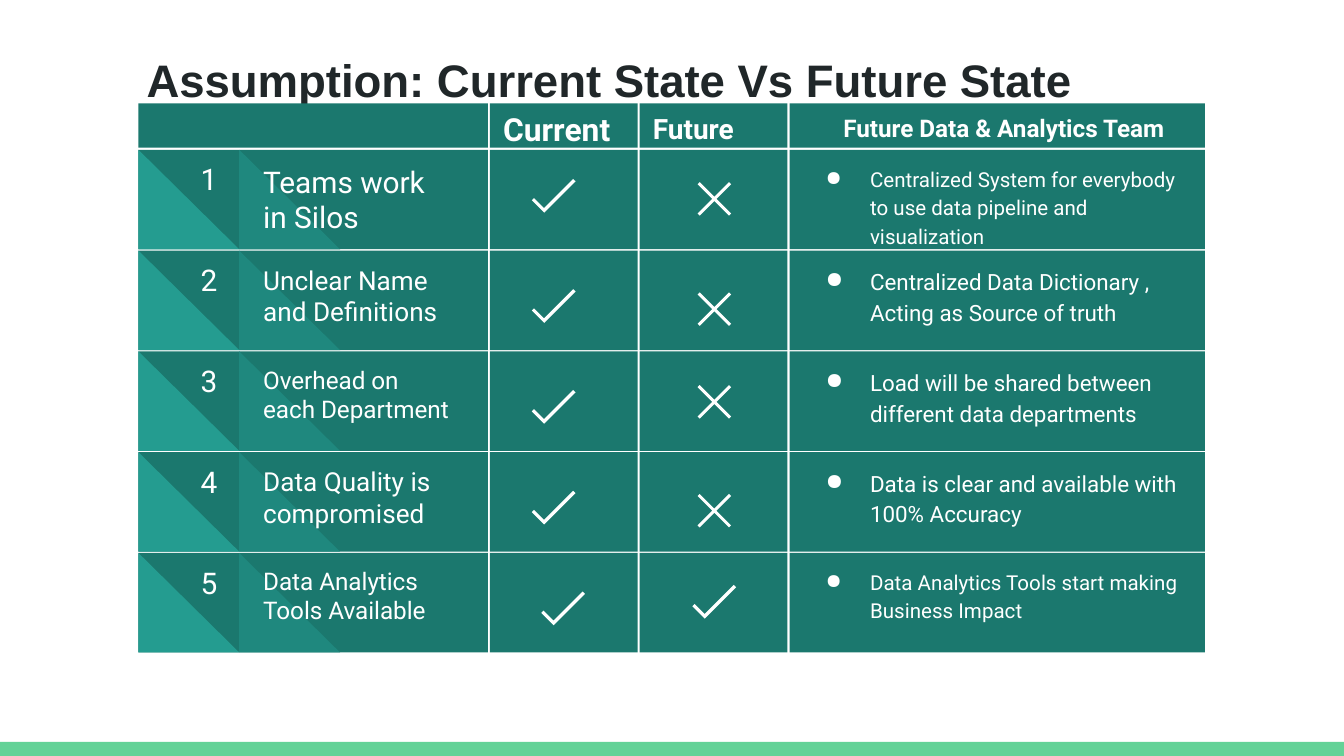
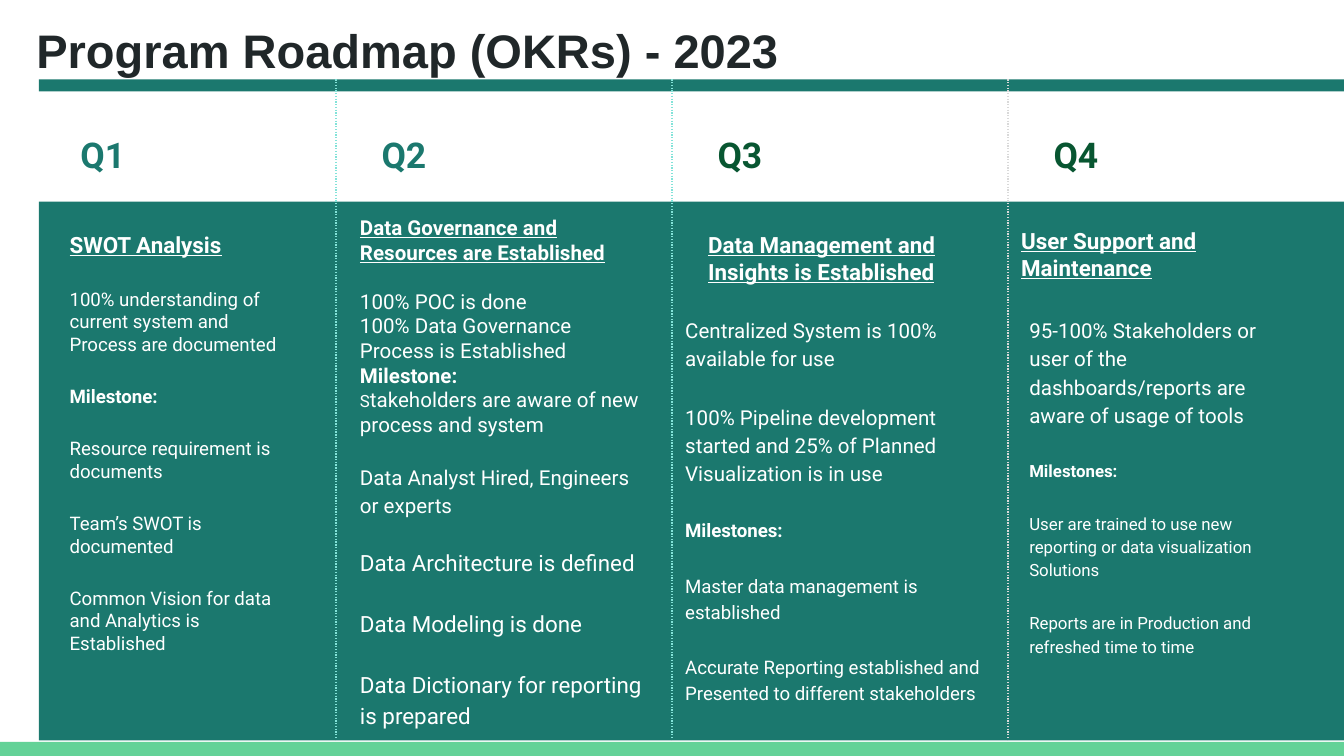
from dataclasses import dataclass
from itertools import accumulate

from lxml import etree
from pptx import Presentation
from pptx.dml.color import RGBColor
from pptx.enum.dml import MSO_LINE
from pptx.enum.shapes import MSO_CONNECTOR, MSO_SHAPE
from pptx.enum.text import MSO_ANCHOR, MSO_AUTO_SIZE, PP_ALIGN
from pptx.oxml.ns import qn
from pptx.util import Emu, Pt

RECTANGLE, TRIANGLE = MSO_SHAPE.RECTANGLE, MSO_SHAPE.RIGHT_TRIANGLE
CORNER, CROSS_SIGN = MSO_SHAPE.CORNER, MSO_SHAPE.MATH_MULTIPLY
STRAIGHT, DOTTED = MSO_CONNECTOR.STRAIGHT, MSO_LINE.ROUND_DOT
TOP, MIDDLE, BOTTOM = MSO_ANCHOR.TOP, MSO_ANCHOR.MIDDLE, MSO_ANCHOR.BOTTOM
LEFT, CENTER = PP_ALIGN.LEFT, PP_ALIGN.CENTER

EMU_PER_PX = 4572  # 200 px to the inch
SLIDE_WIDTH, SLIDE_HEIGHT = 2000, 1125
INSET = 20
TITLE_ONLY_LAYOUT = 5


@dataclass(frozen=True)
class Theme:
    teal: str = "1B786E"
    mid_teal: str = "1F887E"
    light_teal: str = "249C90"
    footer: str = "63D297"
    ink: str = "202729"
    white: str = "FFFFFF"
    dark_green: str = "085631"
    dots: str = "83E3D9"
    grey_dots: str = "D9D9D9"
    title_font: str = "Arial"
    body_font: str = "Roboto"
    quarter_size: int = 19
    number_size: int = 16
    large: int = 12
    normal: int = 11
    small: int = 10
    tiny: int = 9
    gap: int = 16


THEME = Theme()


@dataclass(frozen=True)
class Line:
    """One paragraph; lead is an optional (text, size) run set before the text."""
    text: str
    size: float
    before: float = 0
    spacing: float = 1
    bold: bool = False
    underline: bool = False
    color: str = THEME.white
    font: str = THEME.body_font
    align: int = LEFT
    bullet: bool = False
    lead: tuple = ()


def px(length):
    return Emu(length * EMU_PER_PX)


def box_emu(box):
    return [px(length) for length in box]


def set_attributes(target, values):
    for name, value in values.items():
        setattr(target, name, value)


def add_bullet(paragraph, color):
    properties = paragraph._p.get_or_add_pPr()
    properties.set("marL", str(px(100)))
    properties.set("indent", str(px(-66)))
    bullet_color = etree.SubElement(properties, qn("a:buClr"))
    etree.SubElement(bullet_color, qn("a:srgbClr"), val=color)
    etree.SubElement(properties, qn("a:buChar"), char="●")


def write(shape, lines, anchor=TOP, inset_left=INSET):
    frame = shape.text_frame
    set_attributes(frame, {
        "word_wrap": True, "auto_size": MSO_AUTO_SIZE.NONE, "vertical_anchor": anchor,
        "margin_left": px(inset_left), "margin_right": px(INSET),
        "margin_top": px(INSET), "margin_bottom": px(INSET),
    })
    for index, line in enumerate(lines):
        paragraph = frame.add_paragraph() if index else frame.paragraphs[0]
        set_attributes(paragraph, {
            "alignment": line.align, "line_spacing": line.spacing,
            "space_before": Pt(line.before), "space_after": Pt(0),
        })
        if line.bullet:
            add_bullet(paragraph, line.color)
        runs = [line.lead] if line.lead else []
        for text, size in runs + [(line.text, line.size)]:
            run = paragraph.add_run()
            run.text = text
            set_attributes(run.font, {
                "name": line.font, "size": Pt(size),
                "bold": line.bold, "underline": line.underline,
            })
            run.font.color.rgb = RGBColor.from_string(line.color)


def add_block(slide, kind, box, color):
    shape = slide.shapes.add_shape(kind, *box_emu(box))
    shape.shadow.inherit = False
    shape.fill.solid()
    shape.fill.fore_color.rgb = RGBColor.from_string(color)
    shape.line.fill.background()
    return shape


def add_text(slide, box, lines, anchor=TOP):
    write(slide.shapes.add_textbox(*box_emu(box)), lines, anchor)


def add_titled_slide(presentation, title, box, size, inset_left, spacing=1):
    slide = presentation.slides.add_slide(presentation.slide_layouts[TITLE_ONLY_LAYOUT])
    left, top, width, height = box_emu(box)
    set_attributes(slide.shapes.title, {
        "left": left, "top": top, "width": width, "height": height,
    })
    line = Line(title, size, bold=True, spacing=spacing,
                color=THEME.ink, font=THEME.title_font)
    write(slide.shapes.title, [line], inset_left=inset_left)
    return slide


def move_footer_to_master(presentation, slide):
    band = add_block(slide, RECTANGLE, (0, 1104, SLIDE_WIDTH, 21), THEME.footer)
    presentation.slide_master.shapes.element.append(band.element)


# Comparison grid
GRID_LEFT, GRID_TOP, GRID_GAP = 206, 154, 3
HEADER_HEIGHT, ROW_HEIGHT, ROW_PITCH = 66, 148, 150
COLUMN_WIDTHS = [520, 220, 220, 618]
COLUMN_LEFTS = list(accumulate((width + GRID_GAP for width in COLUMN_WIDTHS[:-1]),
                               initial=GRID_LEFT))

# (text, size, left inset) of each heading
HEADINGS = [
    ("", 0, INSET),
    ("Current", 17, INSET),
    ("Future", 15, INSET),
    ("Future Data & Analytics Team", 13, 80),
]

# topic, size, current mark, future mark, outcome, size; a mark is (kind, x, y) in its cell
ASSUMPTIONS = [
    ("Teams work in Silos", 16, (CORNER, 62, 48), (CROSS_SIGN, 66, 28),
     "Centralized System for everybody to use data pipeline and visualization", 11),
    ("Unclear Name and Definitions", 14, (CORNER, 62, 62), (CROSS_SIGN, 66, 42),
     "Centralized Data Dictionary , Acting as Source of truth", 12),
    ("Overhead on each Department", 13, (CORNER, 62, 62), (CROSS_SIGN, 66, 30),
     "Load will be shared between different data departments", 12),
    ("Data Quality is compromised", 14, (CORNER, 62, 62), (CROSS_SIGN, 66, 42),
     "Data is clear and available with 100% Accuracy", 12),
    ("Data Analytics Tools Available", 13, (CORNER, 76, 62), (CORNER, 78, 52),
     "Data Analytics Tools start making Business Impact", 11),
]


def add_mark(slide, cell_left, cell_top, mark):
    kind, x, y = mark
    width, height = (66, 26) if kind == CORNER else (90, 90)
    shape = add_block(slide, kind, (cell_left + x, cell_top + y, width, height), THEME.white)
    if kind == CORNER:
        shape.rotation = 315
        shape.adjustments[0], shape.adjustments[1] = 0.19, 0.18
    else:
        shape.adjustments[0] = 0.05


def add_header_row(slide):
    for left, width, (text, size, inset) in zip(COLUMN_LEFTS, COLUMN_WIDTHS, HEADINGS):
        cell = add_block(slide, RECTANGLE, (left, GRID_TOP, width, HEADER_HEIGHT), THEME.teal)
        if text:
            write(cell, [Line(text, size, bold=True, spacing=1.15)], MIDDLE, inset)


def add_assumption_row(slide, number, top, assumption):
    topic, topic_size, current, future, outcome, outcome_size = assumption
    cells = [add_block(slide, RECTANGLE, (left, top, width, ROW_HEIGHT), THEME.teal)
             for left, width in zip(COLUMN_LEFTS, COLUMN_WIDTHS)]
    for offset, color in ((150, THEME.mid_teal), (0, THEME.light_teal)):
        add_block(slide, TRIANGLE, (GRID_LEFT + offset, top, 150, ROW_HEIGHT), color)
    add_text(slide, (GRID_LEFT + 58, top, 94, 90),
             [Line(str(number), THEME.number_size, align=CENTER)], BOTTOM)
    add_text(slide, (GRID_LEFT + 166, top, 326, ROW_HEIGHT), [Line(topic, topic_size)])
    for left, mark in zip(COLUMN_LEFTS[1:3], (current, future)):
        add_mark(slide, left, top, mark)
    write(cells[-1], [Line(outcome, outcome_size, spacing=1.15, bullet=True)])


def build_comparison(presentation):
    slide = add_titled_slide(presentation, "Assumption: Current State Vs Future State",
                             (68, 28, 1864, 126), 24.4, 150, 1.36)
    add_header_row(slide)
    first_top = GRID_TOP + HEADER_HEIGHT + GRID_GAP
    for index, assumption in enumerate(ASSUMPTIONS):
        add_assumption_row(slide, index + 1, first_top + index * ROW_PITCH, assumption)
    return slide


# Roadmap columns
BAR_TOP, BAR_HEIGHT = 118, 18
QUARTER_TOP = 168
PANEL_TOP, PANEL_HEIGHT = 300, 802
QUARTER_WIDTH, FIRST_LEFT = 500, 58


def heading(text, size=THEME.large):
    return Line(text, size, bold=True, underline=True)


def spaced(text, size, spacing=1.15, bold=False):
    return Line(text, size, THEME.gap, spacing, bold)


# name, colour, x of the name, text blocks as (box in the panel, lines)
QUARTERS = [
    ("Q1", THEME.teal, 42, [
        ((26, 24, 374, 726), [
            heading("SWOT Analysis"),
            spaced("100% understanding of current system and Process are documented",
                   THEME.small, 1),
            spaced("Milestone:", THEME.small, 1, True),
            spaced("Resource requirement is documents", THEME.small, 1),
            spaced("Team’s SWOT is documented", THEME.small, 1),
            spaced("Common Vision for data and Analytics is Established", THEME.small, 1),
        ]),
    ]),
    ("Q2", THEME.teal, 48, [
        ((16, 0, 464, 802), [
            heading("Data Governance and Resources are Established", THEME.normal),
            Line("100% POC is done", THEME.normal, before=13),
            Line("100% Data Governance Process is Established", THEME.normal),
            Line("Milestone:", THEME.normal, bold=True),
            Line("takeholders are aware of new process and system", THEME.normal,
                 lead=("S", THEME.tiny)),
            Line("Data Analyst Hired, Engineers or experts", THEME.normal, 13, 1.15),
            Line("Data Architecture is defined", THEME.large, 15, 1.15),
            Line("Data Modeling is done", THEME.large, 16, 1.15),
            Line("Data Dictionary for reporting is prepared", THEME.large, 16, 1.15),
        ]),
    ]),
    ("Q3", THEME.dark_green, 48, [
        ((34, 24, 466, 114), [heading("Data Management and Insights is Established")]),
        ((0, 148, 500, 650), [
            Line("Centralized System is 100% available for use", THEME.normal, spacing=1.15),
            spaced("100% Pipeline development started and 25% of Planned "
                   "Visualization is in use", THEME.normal),
            spaced("Milestones:", THEME.small, bold=True),
            spaced("Master data management is established", THEME.small),
            spaced("Accurate Reporting established and Presented to different stakeholders",
                   THEME.small),
        ]),
    ]),
    ("Q4", THEME.dark_green, 48, [
        ((0, 18, 452, 90), [heading("User Support and Maintenance")]),
        ((12, 148, 442, 568), [
            Line("95-100% Stakeholders or user of the dashboards/reports are aware "
                 "of usage of tools", THEME.normal, spacing=1.15),
            spaced("Milestones:", THEME.tiny, bold=True),
            spaced("User are trained to use new reporting or data visualization Solutions",
                   THEME.tiny),
            spaced("Reports are in Production and refreshed time to time", THEME.tiny),
        ]),
    ]),
]


def add_quarter(slide, left, width, quarter):
    name, color, name_offset, blocks = quarter
    for top, height in ((PANEL_TOP, PANEL_HEIGHT), (BAR_TOP, BAR_HEIGHT)):
        add_block(slide, RECTANGLE, (left, top, width, height), THEME.teal)
    add_text(slide, (left + name_offset, QUARTER_TOP, 190, 90),
             [Line(name, THEME.quarter_size, bold=True, spacing=1.15, color=color)])
    for (x, y, block_width, block_height), lines in blocks:
        add_text(slide, (left + x, PANEL_TOP + y, block_width, block_height), lines)


def add_divider(slide, x, color):
    divider = slide.shapes.add_connector(STRAIGHT, *box_emu((x, BAR_TOP, x, 1100)))
    set_attributes(divider.line, {"width": Pt(0.75), "dash_style": DOTTED})
    divider.line.color.rgb = RGBColor.from_string(color)
    etree.SubElement(divider._element.spPr, qn("a:effectLst"))


def build_roadmap(presentation):
    slide = add_titled_slide(presentation, "Program Roadmap (OKRs) - 2023",
                             (0, 12, 1904, 106), 25.2, 54)
    for index, quarter in enumerate(QUARTERS):
        left = max(index * QUARTER_WIDTH, FIRST_LEFT)
        add_quarter(slide, left, (index + 1) * QUARTER_WIDTH - left, quarter)
    for index, color in enumerate((THEME.dots, THEME.dots, THEME.grey_dots), start=1):
        add_divider(slide, index * QUARTER_WIDTH, color)


def main():
    presentation = Presentation()
    set_attributes(presentation, {
        "slide_width": px(SLIDE_WIDTH), "slide_height": px(SLIDE_HEIGHT),
    })
    move_footer_to_master(presentation, build_comparison(presentation))
    build_roadmap(presentation)
    presentation.save("out.pptx")


if __name__ == "__main__":
    main()
